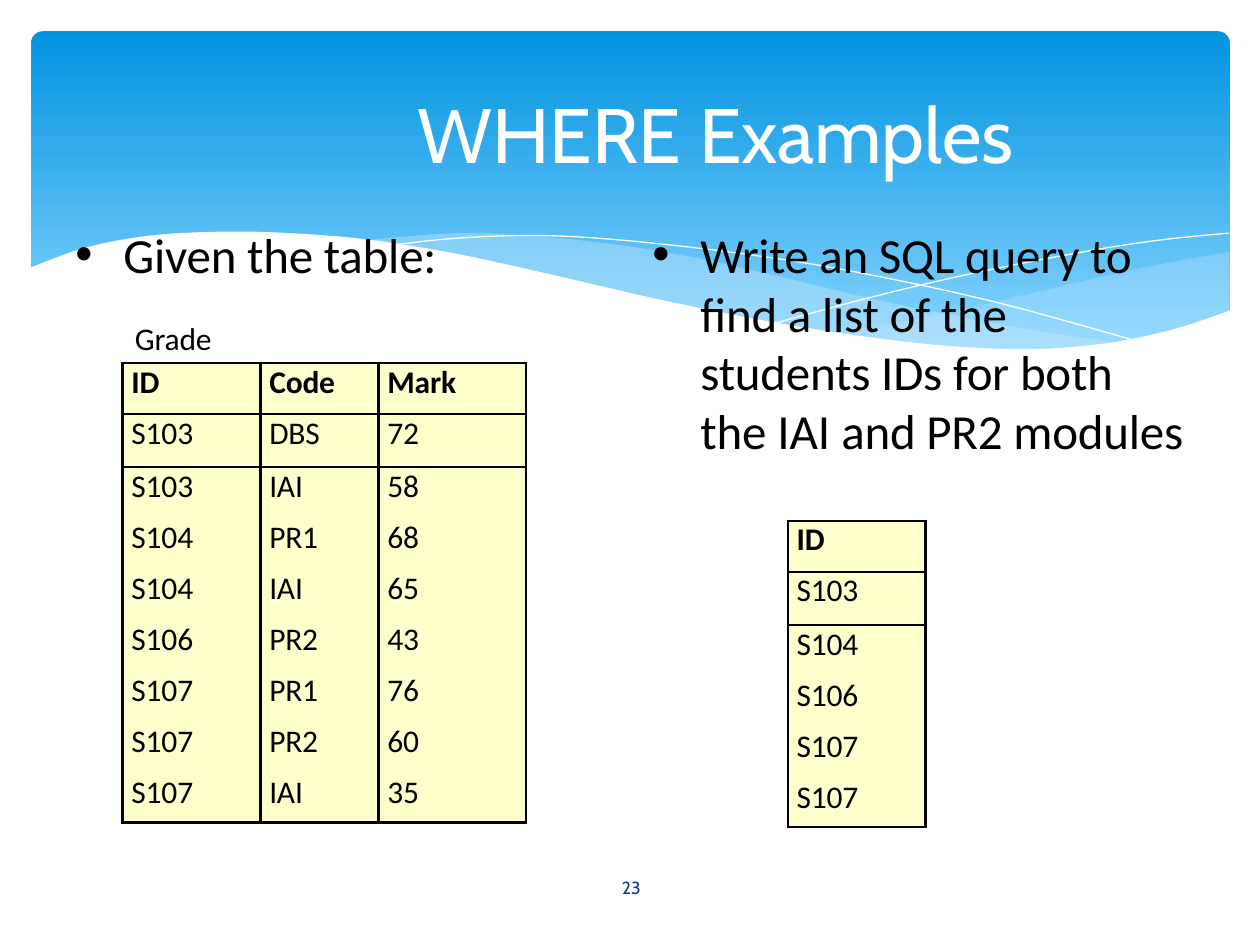
from lxml import etree
from pptx import Presentation, util as u
from pptx.dml.color import RGBColor
from pptx.enum import shapes, text
from pptx.oxml.ns import qn

Cm, Pt = u.Cm, u.Pt
WHITE = RGBColor(0xFF, 0xFF, 0xFF)
BLACK = RGBColor(0, 0, 0)
NAVY = RGBColor(0x07, 0x3E, 0x87)
SKY_TOP = RGBColor(0x02, 0x93, 0xE0)
SKY_BOTTOM = RGBColor(0x83, 0xD3, 0xFE)
PALE_BLUE = RGBColor(0xC6, 0xE7, 0xFC)
CREAM = RGBColor(0xFF, 0xFF, 0xCC)
PLAIN_TABLE = "{2D5ABB26-0587-4C30-8999-92F81FD0307C}"

# Content: runs are (text, letter spacing in points)
TITLE = [("WHERE ", 0), ("Examples", -0.1)]
PAGE = [("23", 0)]
QUESTION = [("Write ", -0.3), ("an SQL query to find a list of the students IDs ", -0.1),
            ("for ", -0.2), ("both the ", -0.1), ("IAI ", 0), ("and PR2 modules", -0.1)]
GIVEN = [("Given the table:", -0.1)]
CAPTION = [("Grade", -0.1)]
GRADES = [("ID", "Code", "Mark"),
          ("S103", "DBS", "72"), ("S103", "IAI", "58"), ("S104", "PR1", "68"),
          ("S104", "IAI", "65"), ("S106", "PR2", "43"), ("S107", "PR1", "76"),
          ("S107", "PR2", "60"), ("S107", "IAI", "35")]
ANSWER = [("ID",), ("S103",), ("S104",), ("S106",), ("S107",), ("S107",)]

# Banner curves: key points in cm, one list per smooth edge
RIGHT_WAVE = [
    [(24.78, 5.08), (23.39, 5.33), (21.87, 5.66), (19.13, 6.3), (16.79, 6.73)],
    [(16.79, 6.73), (18.59, 6.96), (20.4, 7.06), (22.15, 6.96), (23.57, 6.68), (24.78, 6.27)]]
MIDDLE_WAVE = [
    [(22.68, 6.93), (20.5, 6.6), (17.93, 6.1), (15.98, 5.64), (14.1, 5.21),
     (12.42, 4.93), (10.67, 4.75), (9.17, 4.7), (7.26, 4.85)],
    [(7.26, 4.85), (9.19, 5.16), (11.4, 5.64), (14.38, 6.3), (16.51, 6.71),
     (18.34, 6.96), (20.5, 7.06), (22.68, 6.93)]]
FALLING_LINE = [[(7.85, 4.95), (9.22, 4.8), (11, 4.75), (12.95, 4.88), (15.44, 5.18),
                 (17.65, 5.56), (20.19, 6.12), (23.04, 6.91)]]
RISING_LINE = [[(15.57, 6.53), (17.65, 5.97), (19.71, 5.49), (22, 5.05),
                (23.47, 4.83), (24.77, 4.7)]]
WHITE_WAVE = [
    [(24.82, 6.25), (23.62, 6.65), (22.23, 6.93), (20.55, 7.04), (18.44, 6.91),
     (15.9, 6.55), (13.44, 6.07), (11.35, 5.59), (9.27, 5.13), (7.42, 4.83),
     (5.84, 4.7), (4.5, 4.67), (3.02, 4.75), (1.7, 5), (0.58, 5.41)],
    [(0.58, 8.36)], [(24.82, 8.36)]]


def smooth(points, steps=6):
    """Catmull-Rom curve through the key points."""
    padded = [points[0], *points, points[-1]]
    curve = [points[0]]
    for a, b, c, d in zip(padded, padded[1:], padded[2:], padded[3:]):
        for t in (i / steps for i in range(1, steps + 1)):
            curve.append(tuple(
                (2 * q + (r - p) * t + (2 * p - 5 * q + 4 * r - s) * t ** 2
                 + (3 * q - p - 3 * r + s) * t ** 3) / 2
                for p, q, r, s in zip(a, b, c, d)))
    return curve


def add_wave(slide, edges, fill=None, opacity=100):
    outline = [(Cm(x), Cm(y)) for edge in edges for x, y in smooth(edge)]
    builder = slide.shapes.build_freeform(*outline[0])
    builder.add_line_segments(outline[1:], close=fill is not None)
    wave = builder.convert_to_shape()
    wave.shadow.inherit = False
    if fill is None:
        wave.fill.background()
        wave.line.color.rgb = WHITE
        wave.line.width = Pt(0)
        return
    wave.fill.solid()
    wave.fill.fore_color.rgb = fill
    wave.line.fill.background()
    if opacity < 100:
        color = wave.fill._xPr.find(qn("a:solidFill"))[0]
        etree.SubElement(color, qn("a:alpha")).set("val", str(opacity * 1000))


def write(paragraph, runs, size, font="Calibri", color=BLACK, bold=False,
          left=0, hanging=0, before=0, bullet=False):
    paragraph.space_before = Pt(before)
    props = paragraph._p.get_or_add_pPr()
    props.set("marL", str(Cm(left)))
    props.set("indent", str(-Cm(hanging)))
    if bullet:
        etree.SubElement(props, qn("a:buFont")).set("typeface", "Arial")
        etree.SubElement(props, qn("a:buChar")).set("char", "•")
    for words, spacing in runs:
        run = paragraph.add_run()
        run.text = words
        run.font.size, run.font.name, run.font.bold = Pt(size), font, bold
        run.font.color.rgb = color
        run._r.get_or_add_rPr().set("spc", str(round(spacing * 100)))


def add_text_frame(slide, left, top, width, height, anchor=text.MSO_ANCHOR.TOP):
    frame = slide.shapes.add_textbox(Cm(left), Cm(top), Cm(width), Cm(height)).text_frame
    frame.word_wrap = True
    frame.vertical_anchor = anchor
    frame.margin_left = frame.margin_right = frame.margin_top = frame.margin_bottom = 0
    return frame


def set_borders(cell, sides):
    props = cell._tc.get_or_add_tcPr()
    for side in "LRTB":
        border = etree.SubElement(props, qn("a:ln" + side), w=str(Pt(1.5)))
        if side in sides:
            fill = etree.SubElement(border, qn("a:solidFill"))
            etree.SubElement(fill, qn("a:srgbClr")).set("val", str(BLACK))
        else:
            etree.SubElement(border, qn("a:noFill"))


def add_grid(slide, rows, left, top, widths):
    last = len(rows) - 1
    heights = [1.03, 1.07] + [1.03] * (last - 2) + [0.98]
    grid = slide.shapes.add_table(len(rows), len(widths), Cm(left), Cm(top),
                                  Cm(sum(widths)), Cm(sum(heights))).table
    grid.first_row = grid.horz_banding = False
    grid._tbl.tblPr.find(qn("a:tableStyleId")).text = PLAIN_TABLE
    for column, width in zip(grid.columns, widths):
        column.width = Cm(width)
    for r, (values, height) in enumerate(zip(rows, heights)):
        grid.rows[r].height = Cm(height)
        # Lines around the header and first row, then one open block
        sides = "LR" + ("T" if r <= 2 else "") + ("B" if r in (0, 1, last) else "")
        for c, value in enumerate(values):
            cell = grid.cell(r, c)
            cell.margin_left = cell.margin_right = cell.margin_top = cell.margin_bottom = 0
            write(cell.text_frame.paragraphs[0], [(value, -0.1)], 18, bold=r == 0,
                  left=0.18, before=1.7 if r < 2 else 1.1)
            set_borders(cell, sides)
            cell.fill.solid()
            cell.fill.fore_color.rgb = CREAM


def main():
    deck = Presentation()
    deck.slide_width, deck.slide_height = Cm(25.4), Cm(19.05)
    slide = deck.slides.add_slide(deck.slide_layouts[6])

    # Banner
    banner = slide.shapes.add_shape(shapes.MSO_SHAPE.ROUNDED_RECTANGLE,
                                    Cm(0.63), Cm(0.63), Cm(24.16), Cm(6.86))
    banner.adjustments[0] = 0.034
    banner.shadow.inherit = False
    banner.line.fill.background()
    banner.fill.gradient()
    banner.fill.gradient_angle = 270
    for stop, color, position in zip(banner.fill.gradient_stops,
                                     (SKY_TOP, SKY_BOTTOM), (0, 0.9)):
        stop.color.rgb, stop.position = color, position
    add_wave(slide, RIGHT_WAVE, PALE_BLUE, 29)
    add_wave(slide, MIDDLE_WAVE, PALE_BLUE, 40)
    add_wave(slide, FALLING_LINE)
    add_wave(slide, RISING_LINE)
    add_wave(slide, WHITE_WAVE, WHITE)

    # Title and page number
    middle = text.MSO_ANCHOR.MIDDLE
    title = add_text_frame(slide, 1.27, 0.94, 22.86, 3.48, middle).paragraphs[0]
    title.alignment = text.PP_ALIGN.CENTER
    write(title, TITLE, 44, "Cabin", WHITE, left=3.45)
    page = add_text_frame(slide, 11.07, 17.37, 3.23, 1.02, middle).paragraphs[0]
    page.alignment = text.PP_ALIGN.CENTER
    page.line_spacing = Pt(12.4)
    write(page, PAGE, 10, "Cabin", NAVY, left=0.08)

    # Question on the right, table heading on the left
    bullet = dict(size=28, left=0.99, hanging=0.97, bullet=True)
    question = add_text_frame(slide, 13.13, 4.52, 10.78, 4.83)
    write(question.paragraphs[0], QUESTION, **bullet)
    given = add_text_frame(slide, 1.5, 4.52, 7.39, 2.74)
    write(given.paragraphs[0], GIVEN, **bullet)
    write(given.add_paragraph(), CAPTION, 18, left=1.22, before=20.3)

    # Tables
    add_grid(slide, GRADES, 2.47, 7.32, [2.78, 2.38, 2.98])
    add_grid(slide, ANSWER, 15.88, 10.5, [2.78])

    deck.save("out.pptx")


if __name__ == "__main__":
    main()
